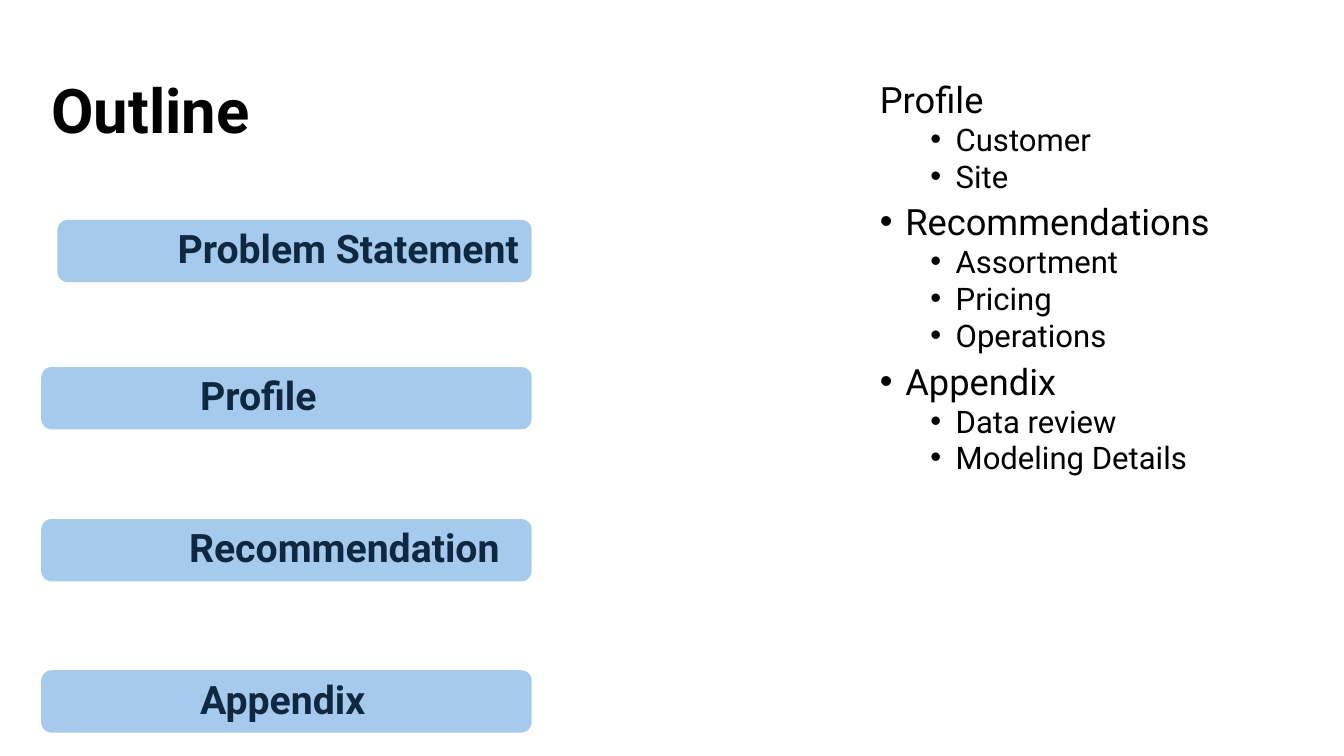
from pptx import Presentation
from pptx import util as u
from pptx.dml.color import RGBColor
from pptx.enum import shapes, text
from pptx.oxml.ns import qn
from lxml import etree

COLORS = {"black": "000000", "navy": "0E2841", "sky": "A6CAEC"}
ALIGN = text.PP_ALIGN


class Deck:
    """Holds the style and the current slide."""
    font = "Roboto"

    def __init__(self, width, height):
        self.prs = Presentation()
        self.prs.slide_width, self.prs.slide_height = u.Cm(width), u.Cm(height)
        self.s = self.prs.slides.add_slide(self.prs.slide_layouts[1])

    def place(self, sp, box, anchor):
        for name, value in zip(("left", "top", "width", "height"), box):
            setattr(sp, name, u.Cm(value))
        frame = {"word_wrap": True, "auto_size": text.MSO_AUTO_SIZE.NONE,
                 "vertical_anchor": anchor}
        for name, value in frame.items():
            setattr(sp.text_frame, name, value)
        return sp.text_frame

    def add_text(self, p, words, size, color, bold=False, align=ALIGN.LEFT,
                 spacing=0.9, before=0, margin=0, indent=0, bullet=False):
        pPr = p._p.get_or_add_pPr()
        pPr.set("marL", str(u.Cm(margin)))
        pPr.set("indent", str(u.Cm(indent)))
        if bullet:
            etree.SubElement(pPr, qn("a:buFont")).set("typeface", "Arial")
            etree.SubElement(pPr, qn("a:buChar")).set("char", "•")
        else:
            etree.SubElement(pPr, qn("a:buNone"))
        layout = {"alignment": align, "line_spacing": spacing,
                  "space_before": u.Pt(before), "space_after": u.Pt(0)}
        for name, value in layout.items():
            setattr(p, name, value)
        r = p.add_run()
        r.text = words
        style = {"name": self.font, "size": u.Pt(size), "bold": bold}
        for name, value in style.items():
            setattr(r.font, name, value)
        r.font.color.rgb = RGBColor.from_string(COLORS[color])

    def title(self, words, box):
        tf = self.place(self.s.shapes.title, box, text.MSO_ANCHOR.MIDDLE)
        self.add_text(tf.paragraphs[0], words, 44, "black", bold=True)

    def outline(self, items, box):
        tf = self.place(self.s.placeholders[1], box, text.MSO_ANCHOR.TOP)
        for i, (level, words) in enumerate(items):
            p = tf.add_paragraph() if i else tf.paragraphs[0]
            p.level = level
            look = {"size": 22.2, "before": 5, "margin": 1.91} if level else {
                "size": 25.9, "before": 10, "margin": 0.64}
            look.update(indent=-0.64, bullet=True)
            if i == 0:
                look.update(before=0, margin=0, indent=0, bullet=False)
            self.add_text(p, words, color="black", spacing=0.8, **look)

    def bar(self, words, box, align, margin):
        sp = self.s.shapes.add_shape(
            shapes.MSO_SHAPE.ROUNDED_RECTANGLE, *map(u.Cm, box))
        sp.shadow.inherit = False
        sp.fill.solid()
        sp.fill.fore_color.rgb = RGBColor.from_string(COLORS["sky"])
        sp.line.fill.background()
        tf = self.place(sp, box, text.MSO_ANCHOR.MIDDLE)
        self.add_text(tf.paragraphs[0], words, 28, "navy", bold=True,
                      align=align, margin=margin)


def main():
    deck = Deck(33.87, 19.05)

    # Title
    deck.title("Outline", (1.04, 1.02, 30.48, 3.68))

    # Section bars, all ending at the same right edge
    right, height = 13.4, 1.57
    for words, left, top, align, margin in (
            ("Problem Statement", 1.45, 5.54, ALIGN.RIGHT, 0),
            ("Profile", 1.04, 9.25, ALIGN.LEFT, 3.68),
            ("Recommendation", 1.04, 13.08, ALIGN.LEFT, 3.4),
            ("Appendix", 1.04, 16.89, ALIGN.LEFT, 3.68)):
        deck.bar(words, (left, top, right - left, height), align, margin)

    # Detailed list
    deck.outline([
        (0, "Profile"), (1, "Customer"), (1, "Site"),
        (0, "Recommendations"), (1, "Assortment"), (1, "Pricing"),
        (1, "Operations"),
        (0, "Appendix"), (1, "Data review"), (1, "Modeling Details"),
    ], (21.92, 2.03, 11.95, 10.7))

    deck.prs.save("out.pptx")


if __name__ == "__main__":
    main()
